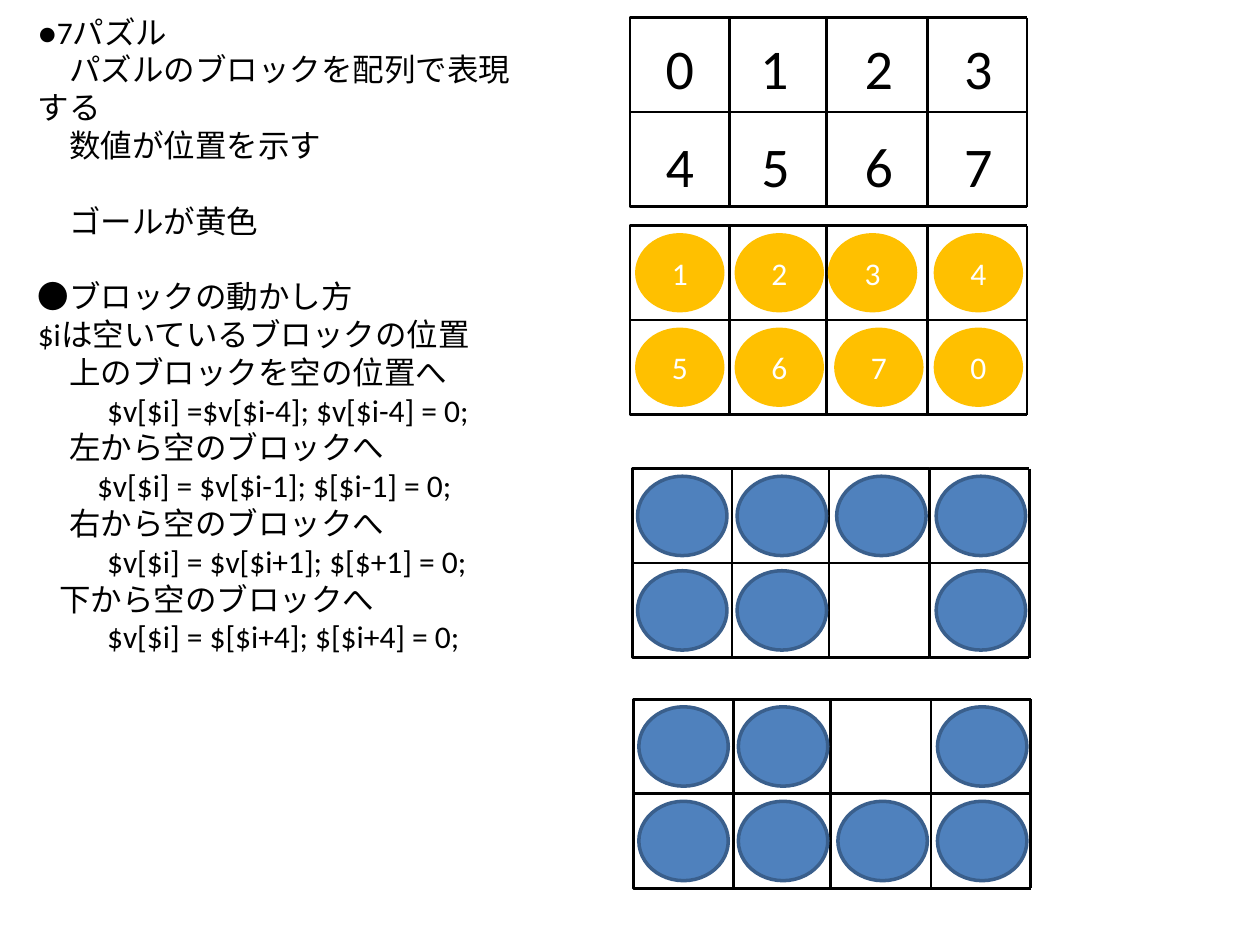
from dataclasses import dataclass, field

from lxml import etree
from pptx import Presentation
from pptx.dml.color import RGBColor
from pptx.enum.shapes import MSO_CONNECTOR, MSO_SHAPE
from pptx.enum.text import MSO_ANCHOR, MSO_AUTO_SIZE, PP_ALIGN
from pptx.oxml.ns import qn
from pptx.util import Inches, Pt

RECT, OVAL = MSO_SHAPE.RECTANGLE, MSO_SHAPE.OVAL
LINE = MSO_CONNECTOR.STRAIGHT
TOP, MIDDLE = MSO_ANCHOR.TOP, MSO_ANCHOR.MIDDLE
CENTER, LEFT = PP_ALIGN.CENTER, PP_ALIGN.LEFT
GROW = MSO_AUTO_SIZE.SHAPE_TO_FIT_TEXT
FONT = "Calibri"
BLACK, WHITE, GOLD, BLUE, NAVY = "000000", "FFFFFF", "FFC000", "4F81BD", "3A5F8C"
COLS, ROWS = 4, 2
CELL_W, CELL_H = 0.79, 0.75
BARS = (0.79, 1.56, 2.36)  # inner column edges
DISC, DIGIT = (0.71, 0.63), (0.62, 0.64)
ROW_GAP = 21.6


@dataclass
class Board:
    """One puzzle grid; a blank in cells is an empty cell."""
    left: float
    top: float
    kind: str
    cells: str
    shift: dict[int, float] = field(default_factory=dict)


@dataclass
class Note:
    """One paragraph of the list."""
    text: str
    indent: float = 0
    gap: float = 0


BOARDS = [
    Board(5.02, 3.72, "blue", "123456 7"),
    Board(5.03, 5.55, "blue", "12 34567"),
    Board(5, 0.14, "digit", "01234567", {1: -0.04, 5: -0.03}),
    Board(5, 1.79, "gold", "12345670", {2: -0.05}),
]
STEP, CODE = 0.25, 0.55
NOTES = [
    Note("●7パズル"),
    Note("パズルのブロックを配列で表現する", STEP),
    Note("数値が位置を示す", STEP),
    Note("ゴールが黄色", STEP, ROW_GAP),
    Note("●ブロックの動かし方", gap=ROW_GAP),
    Note("$iは空いているブロックの位置"),
    Note("上のブロックを空の位置へ", STEP),
    Note("$v[$i] =$v[$i-4]; $v[$i-4] = 0;", CODE),
    Note("左から空のブロックへ", STEP),
    Note("$v[$i] = $v[$i-1]; $[$i-1] = 0;", 0.47),
    Note("右から空のブロックへ", STEP),
    Note("$v[$i] = $v[$i+1]; $[$+1] = 0;", CODE),
    Note("下から空のブロックへ", 0.17),
    Note("$v[$i] = $[$i+4]; $[$i+4] = 0;", CODE),
]


def paint(target, color: str) -> None:
    """Give a fill a solid colour."""
    target.solid()
    target.fore_color.rgb = RGBColor.from_string(color)


def style(para, size: float, color: str, align) -> None:
    """Format every run of a paragraph."""
    para.alignment = align
    for run in para.runs:
        run.font.name, run.font.size = FONT, Pt(size)
        paint(run.font.fill, color)


def add_box(group, kind, place: tuple, fill: str, edge: str = "", width: float = 0):
    """Add a preset shape with a fill and an optional outline."""
    box = group.shapes.add_shape(kind, *map(Inches, place))
    box.shadow.inherit = False
    paint(box.fill, fill)
    if edge:
        paint(box.line.fill, edge)
        box.line.width = Pt(width)
    else:
        box.line.fill.background()
    return box


def add_rule(group, *ends: float) -> None:
    """Add a black line between two points."""
    rule = group.shapes.add_connector(LINE, *map(Inches, ends))
    paint(rule.line.fill, BLACK)
    rule.line.width = Pt(1.5)
    etree.SubElement(rule._element.spPr, qn("a:effectLst"))


def draw_grid(group, board: Board) -> None:
    """Draw the frame: a three-column box, extended by a fourth column."""
    x, y = board.left, board.top
    edge, right, low = x + BARS[-1], x + BARS[-1] + CELL_W, y + ROWS * CELL_H
    add_box(group, RECT, (x, y, BARS[-1], ROWS * CELL_H), WHITE, BLACK, 1.5)
    add_rule(group, x, y + CELL_H, edge, y + CELL_H)
    for bar in BARS[:-1]:
        add_rule(group, x + bar, low, x + bar, y)
    for row in range(ROWS + 1):
        add_rule(group, edge, y + row * CELL_H, right, y + row * CELL_H)
    add_rule(group, right, y, right, low)


def draw_piece(group, board: Board, index: int, mark: str) -> None:
    """Centre a disc or a digit in its cell."""
    row, col = divmod(index, COLS)
    plain = board.kind == "digit"
    wide, high = DIGIT if plain else DISC
    x = board.left + col * CELL_W + (CELL_W - wide) / 2 + board.shift.get(index, 0)
    y = board.top + row * CELL_H + (CELL_H - high) / 2
    if plain:
        y += 0.02 + row * 0.03
        box = group.shapes.add_textbox(*map(Inches, (x, y, wide, high)))
        box.text_frame.word_wrap = True
        box.text_frame.auto_size = GROW
    elif board.kind == "blue":
        add_box(group, OVAL, (x, y, wide, high), BLUE, NAVY, 2)
        return
    else:
        box = add_box(group, OVAL, (x, y, wide, high), GOLD)
        box.text_frame.vertical_anchor = MIDDLE
    box.text_frame.text = mark
    style(box.text_frame.paragraphs[0], 32 if plain else 18,
          BLACK if plain else WHITE, CENTER)


def draw_board(slide, board: Board) -> None:
    """Draw one grid with its pieces as a group."""
    group = slide.shapes.add_group_shape()
    draw_grid(group, board)
    for index, mark in enumerate(board.cells):
        if mark != " ":
            draw_piece(group, board, index, mark)


def fill_list(body) -> None:
    """Place the body and write the notes with first-line indents."""
    body.left, body.top, body.width, body.height = map(Inches, (0.2, 0.05, 4.14, 4.95))
    frame = body.text_frame
    frame.word_wrap, frame.auto_size, frame.vertical_anchor = True, GROW, TOP
    frame.text = "\n".join(note.text for note in NOTES)
    for para, note in zip(frame.paragraphs, NOTES):
        style(para, 18, BLACK, LEFT)
        para.space_before, para.space_after = Pt(note.gap), Pt(0)
        props = para._p.get_or_add_pPr()
        props.set("marL", "0")
        props.set("indent", str(Inches(note.indent)))
        etree.SubElement(props, qn("a:buNone"))


def main() -> None:
    """Build the slide and save it."""
    deck = Presentation()
    deck.slide_width, deck.slide_height = Inches(10), Inches(7.5)
    slide = deck.slides.add_slide(deck.slide_layouts[1])
    title = slide.shapes.title._element
    title.getparent().remove(title)
    fill_list(slide.placeholders[1])
    for board in BOARDS:
        draw_board(slide, board)
    deck.save("out.pptx")


main()
